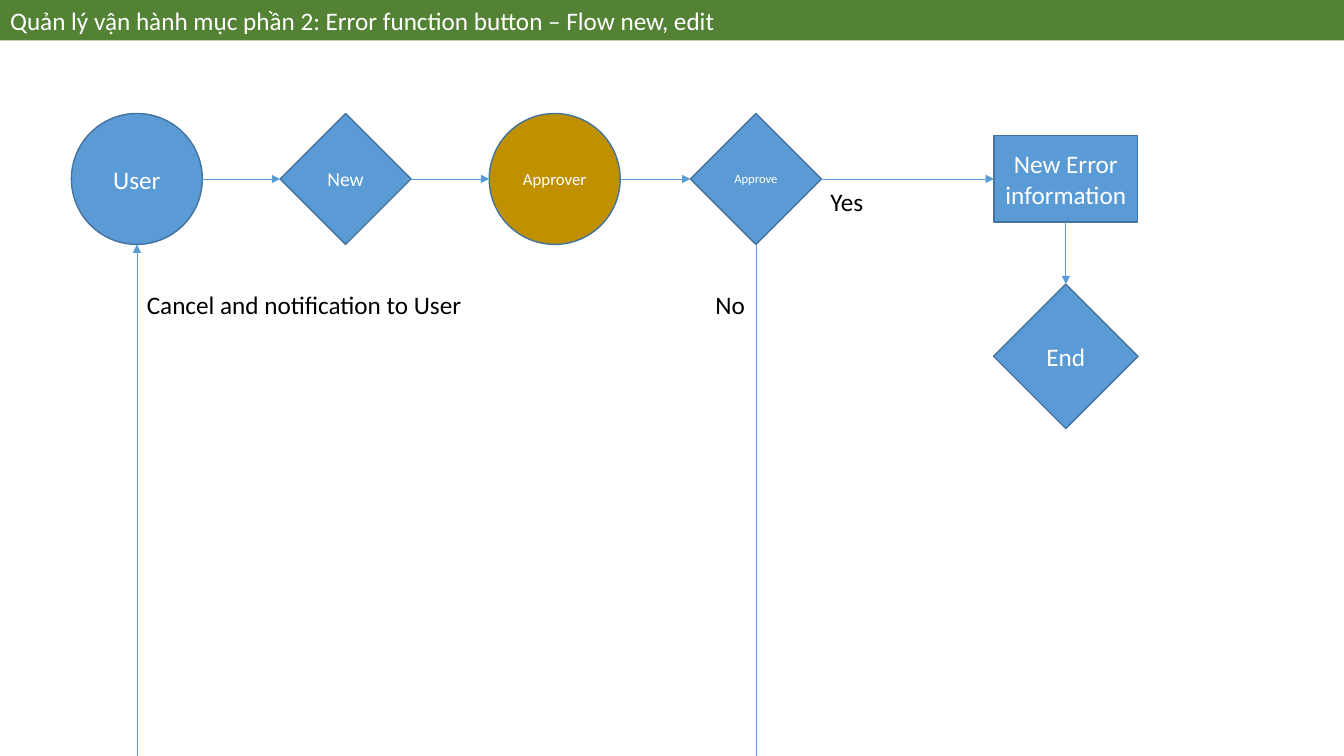
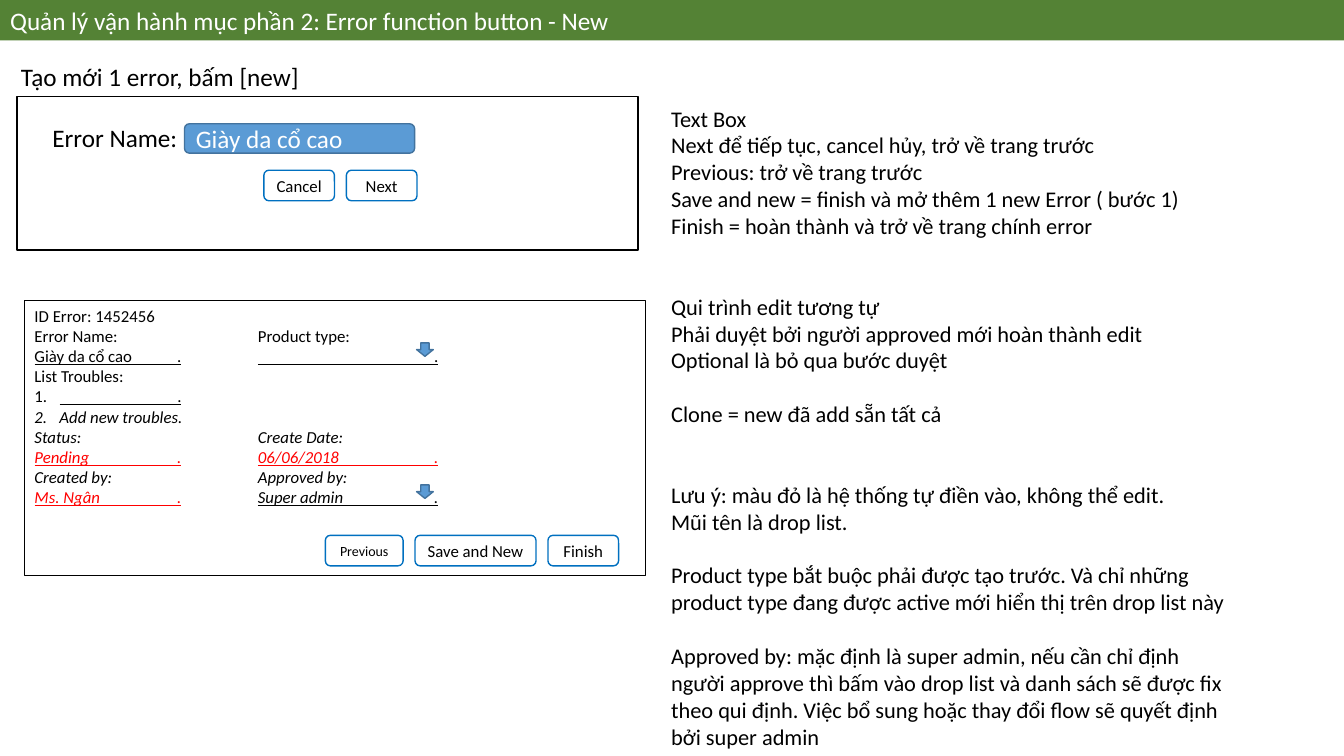
from dataclasses import dataclass

import pptx
import pptx.util
import pptx.dml.color
import pptx.enum.shapes
import pptx.enum.text
import pptx.oxml
import pptx.oxml.ns
from pptx.util import Cm

SHAPE = pptx.enum.shapes.MSO_SHAPE
ALIGN = pptx.enum.text.PP_ALIGN
ANCHOR = pptx.enum.text.MSO_ANCHOR
TOP, LEFT, BOTTOM, RIGHT = range(4)
WIDTH, HEIGHT = 33.87, 19.05


@dataclass(frozen=True)
class Theme:
    font: str = "Calibri"
    band: str = "548235"
    blue: str = "5B9BD5"
    edge: str = "43739E"
    gold: str = "BF9000"
    button: str = "0070C0"
    white: str = "FFFFFF"
    black: str = "000000"
    red: str = "FF0000"
    large: int = 18
    notes: int = 16
    medium: int = 14
    small: int = 12
    tiny: int = 10
    micro: int = 9


THEME = Theme()


def rgb(colour):
    return pptx.dml.color.RGBColor.from_string(colour)


def add_xml(parent, tag, **attributes):
    child = pptx.oxml.parse_xml(f"<a:{tag} {pptx.oxml.ns.nsdecls('a')}/>")
    for name, value in attributes.items():
        child.set(name, str(value))
    parent.append(child)


class Painter:
    """Holds the style, the deck and the current page."""

    def __init__(self, theme):
        self.theme = theme
        self.deck = pptx.Presentation()
        self.deck.slide_width, self.deck.slide_height = Cm(WIDTH), Cm(HEIGHT)
        self.page = None

    # Text
    def frame(self, shape, anchor=ANCHOR.TOP, margin=None):
        frame = shape.text_frame
        frame.word_wrap = True
        frame.auto_size = pptx.enum.text.MSO_AUTO_SIZE.NONE
        frame.vertical_anchor = anchor
        if margin is not None:
            frame.margin_left = frame.margin_right = Cm(margin)
            frame.margin_top = frame.margin_bottom = Cm(margin)
        return frame

    def para(self, frame, text, size, colour, align=ALIGN.LEFT, before=0, italic=False):
        para = frame.paragraphs[0]
        if para.runs:
            para = frame.add_paragraph()
        para.alignment = align
        para.space_before = pptx.util.Pt(before)
        span = para.add_run()
        span.text = text
        span.font.name = self.theme.font
        span.font.size = pptx.util.Pt(size)
        span.font.italic = italic
        span.font.color.rgb = rgb(colour)
        return para

    def indent(self, para, left, number=None):
        properties = para._p.get_or_add_pPr()
        properties.set("marL", str(Cm(left)))
        properties.set("indent", str(-Cm(left)))
        if number:
            add_xml(properties, "buAutoNum", type="arabicPeriod", startAt=number)
        else:
            add_xml(properties, "buNone")

    def place(self, shape, left, top, width, height):
        shape.left, shape.top = Cm(left), Cm(top)
        shape.width, shape.height = Cm(width), Cm(height)

    # Pages and placeholders
    def new_page(self, title, layout):
        self.page = self.deck.slides.add_slide(self.deck.slide_layouts[layout])
        band = self.page.shapes.title
        self.place(band, 0, 0, WIDTH, 1.02)
        band.fill.solid()
        band.fill.fore_color.rgb = rgb(self.theme.band)
        self.para(self.frame(band), title, self.theme.large, self.theme.white)

    def notes(self, left, top, width, height, groups):
        """Groups are (lines skipped before, paragraphs)."""
        body = self.page.placeholders[1]
        self.place(body, left, top, width, height)
        frame = self.frame(body)
        for skipped, lines in groups:
            for index, line in enumerate(lines):
                before = 0 if index else skipped * 19.2
                para = self.para(frame, line, self.theme.notes, self.theme.black, before=before)
                self.indent(para, 0)

    # Elements
    def label(self, left, top, width, text):
        box = self.page.shapes.add_textbox(Cm(left), Cm(top), Cm(width), Cm(1.02))
        self.para(self.frame(box), text, self.theme.large, self.theme.black)

    def shape(self, kind, left, top, width, height, fill=None, line=None, weight=1.0):
        shape = self.page.shapes.add_shape(kind, Cm(left), Cm(top), Cm(width), Cm(height))
        shape.shadow.inherit = False
        if fill:
            shape.fill.solid()
            shape.fill.fore_color.rgb = rgb(fill)
        else:
            shape.fill.background()
        shape.line.color.rgb = rgb(line or self.theme.edge)
        shape.line.width = pptx.util.Pt(weight)
        return shape

    def node(self, kind, centre, size, text, points, fill=None):
        (x, y), (width, height) = centre, size
        node = self.shape(kind, x - width / 2, y - height / 2, width, height,
                          fill or self.theme.blue)
        self.para(self.frame(node, ANCHOR.MIDDLE), text, points, self.theme.white, ALIGN.CENTER)
        return node

    def buttons(self, left, top, items, gap=0.3):
        for text, width, points in items:
            button = self.shape(SHAPE.ROUNDED_RECTANGLE, left, top, width, 0.77,
                                self.theme.white, self.theme.button)
            self.para(self.frame(button, ANCHOR.MIDDLE), text, points,
                      self.theme.black, ALIGN.CENTER)
            left += width + gap

    def line(self, start, end, colour, weight, arrow=False):
        line = self.page.shapes.add_connector(
            pptx.enum.shapes.MSO_CONNECTOR.STRAIGHT, *start, *end)
        line.line.color.rgb = rgb(colour)
        line.line.width = pptx.util.Pt(weight)
        if arrow:
            add_xml(line.line._get_or_add_ln(), "tailEnd", type="triangle")
        add_xml(line._element.spPr, "effectLst")
        return line

    def side(self, shape, side):
        x = {LEFT: 0, RIGHT: shape.width}.get(side, shape.width // 2)
        y = {TOP: 0, BOTTOM: shape.height}.get(side, shape.height // 2)
        return shape.left + x, shape.top + y

    def arrow(self, source, out, target, into):
        line = self.line(self.side(source, out), self.side(target, into),
                         self.theme.blue, 0.5, arrow=True)
        # An ellipse numbers its joints differently, so only the others are joined.
        if source.auto_shape_type != SHAPE.OVAL:
            line.begin_connect(source, out)
        if target.auto_shape_type != SHAPE.OVAL:
            line.end_connect(target, into)


class Form:
    """Rows of a form, counted from its first text line."""
    top, row, pitch = 7.7, 0.51, 14.4

    def __init__(self, painter):
        self.painter = painter

    def column(self, left, width, entries, align=ALIGN.LEFT):
        """Entries are (row, text, colour); returns paragraphs by row."""
        first, last = entries[0][0], entries[-1][0]
        box = self.painter.page.shapes.add_textbox(
            Cm(left), Cm(self.top + first * self.row),
            Cm(width), Cm((last - first + 1) * self.row))
        frame = self.painter.frame(box, margin=0)
        paras, previous = {}, first - 1
        for row, text, colour in entries:
            para = self.painter.para(frame, text, self.painter.theme.small, colour, align,
                                     (row - previous - 1) * self.pitch, italic=row >= 5)
            para.line_spacing = pptx.util.Pt(self.pitch)
            paras[row] = para
            previous = row
        return paras

    def rule(self, row, left, right, colour):
        y = Cm(self.top - 0.05 + (row + 1) * self.row)
        self.painter.line((Cm(left), y), (Cm(right), y), colour, 0.75)


def flow_page(painter):
    theme = painter.theme
    painter.new_page("Quản lý vận hành mục phần 2: Error function button – Flow new, edit", 5)

    # Steps
    middle, step = 4.51, (3.3, 3.3)
    user = painter.node(SHAPE.OVAL, (3.45, middle), step, "User", theme.large)
    new = painter.node(SHAPE.DIAMOND, (8.71, middle), step, "New", theme.medium)
    approver = painter.node(SHAPE.OVAL, (13.98, middle), step, "Approver", theme.small, theme.gold)
    approve = painter.node(SHAPE.DIAMOND, (19.05, middle), step, "Approve", theme.micro)
    result = painter.node(SHAPE.RECTANGLE, (26.86, middle), (3.62, 2.18),
                          "New Error information", theme.large)
    end = painter.node(SHAPE.DIAMOND, (26.86, 8.98), (3.64, 3.64), "End", theme.large)

    # Arrows
    steps = [user, new, approver, approve, result]
    for source, target in zip(steps, steps[1:]):
        painter.arrow(source, RIGHT, target, LEFT)
    painter.arrow(result, BOTTOM, end, TOP)

    # Way back to the user, along the foot of the page
    out, back = painter.side(approve, BOTTOM), painter.side(user, BOTTOM)
    refusal = painter.line(out, (out[0], Cm(HEIGHT)), theme.blue, 0.5)
    refusal.begin_connect(approve, BOTTOM)
    painter.line((back[0], Cm(HEIGHT)), back, theme.blue, 0.5, arrow=True)

    painter.label(17.78, 7.16, 1.45, "No")
    painter.label(20.68, 4.57, 1.45, "Yes")
    painter.label(3.45, 7.16, 11.05, "Cancel and notification to User")


def new_error_page(painter):
    theme = painter.theme
    black, red = theme.black, theme.red
    painter.new_page("Quản lý vận hành mục phần 2: Error function button - New", 1)

    # First step: name
    painter.label(0.28, 1.42, 12.07, "Tạo mới 1 error, bấm [new]")
    painter.shape(SHAPE.RECTANGLE, 0.43, 2.44, 15.65, 3.86, line=black)
    painter.label(1.07, 2.97, 4, "Error Name:")
    name = painter.shape(SHAPE.ROUNDED_RECTANGLE, 4.65, 3.12, 5.8, 0.74, theme.blue)
    painter.para(painter.frame(name, ANCHOR.MIDDLE), "Giày da cổ cao", theme.large, theme.white)
    painter.buttons(6.65, 4.29, [("Cancel", 1.78, theme.small), ("Next", 1.78, theme.small)])

    # Second step: details
    painter.shape(SHAPE.RECTANGLE, 0.61, 7.57, 15.65, 6.93, line=black, weight=0.75)
    form = Form(painter)
    left = form.column(0.87, 5, [
        (0, "ID Error: 1452456", black), (1, "Error Name:", black),
        (2, "Giày da cổ cao", black), (3, "List Troubles:", black),
        (4, ".", black), (5, "Add new troubles.", black), (6, "Status:", black),
        (7, "Pending", red), (8, "Created by:", black), (9, "Ms. Ngân", red)])
    painter.indent(left[4], 3.6, number=1)
    painter.indent(left[5], 0.63, number=2)
    form.column(6.5, 4, [
        (1, "Product type:", black), (6, "Create Date:", black), (7, "06/06/2018", red),
        (8, "Approved by:", black), (9, "Super admin", black)])
    for start, width, colours in ((0.87, 3.7, (black, red, red)), (6.5, 4.55, (black, red, black))):
        fields = list(zip((2, 7, 9), colours))
        form.column(start, width, [(row, ".", colour) for row, colour in fields], ALIGN.RIGHT)
        for row, colour in fields:
            form.rule(row, start, start + width, colour)
    form.rule(4, 1.5, 4.57, black)
    for top in (8.64, 12.22):
        painter.shape(SHAPE.DOWN_ARROW, 10.5, top, 0.42, 0.34, theme.blue)
    painter.buttons(8.2, 13.49, [("Previous", 1.96, theme.tiny),
                                 ("Save and New", 3.05, theme.small),
                                 ("Finish", 1.78, theme.small)])

    # Explanations
    painter.notes(16.66, 2.51, 14.63, 16.5, [
        (0, ["Text Box",
             "Next để tiếp tục, cancel hủy, trở về trang trước",
             "Previous: trở về trang trước",
             "Save and new = finish và mở thêm 1 new Error ( bước 1)",
             "Finish = hoàn thành và trở về trang chính error"]),
        (2, ["Qui trình edit tương tự",
             "Phải duyệt bởi người approved mới hoàn thành edit",
             "Optional là bỏ qua bước duyệt"]),
        (1, ["Clone = new đã add sẵn tất cả"]),
        (2, ["Lưu ý: màu đỏ là hệ thống tự điền vào, không thể edit.",
             "Mũi tên là drop list."]),
        (1, ["Product type bắt buộc phải được tạo trước. Và chỉ những product type "
             "đang được active mới hiển thị trên drop list này"]),
        (1, ["Approved by: mặc định là super admin, nếu cần chỉ định người approve thì bấm "
             "vào drop list và danh sách sẽ được fix theo qui định. Việc bổ sung hoặc "
             "thay đổi flow sẽ quyết định bởi super admin"])])


def main():
    painter = Painter(THEME)
    flow_page(painter)
    new_error_page(painter)
    painter.deck.save("out.pptx")


if __name__ == "__main__":
    main()
